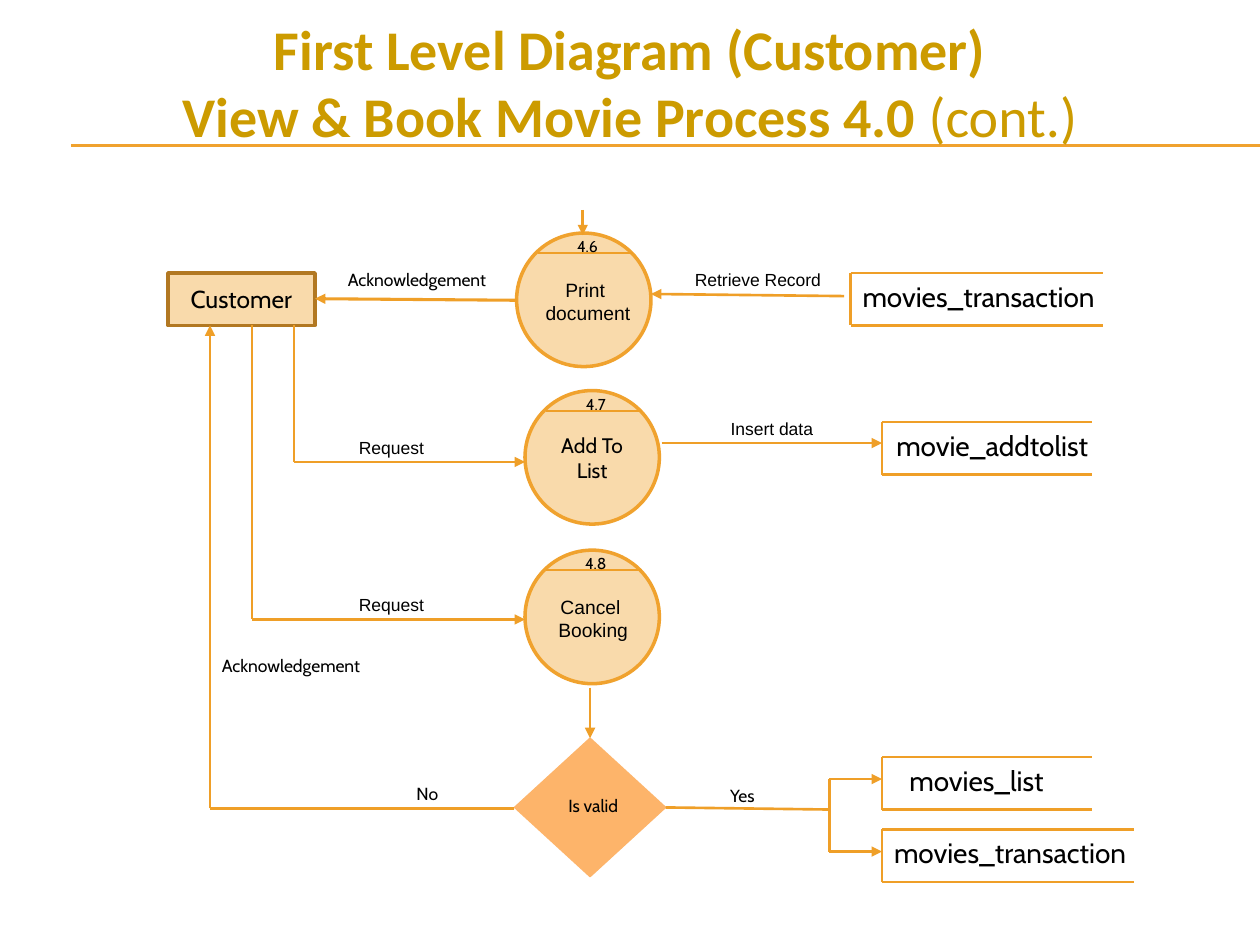
import pptx
import pptx.util
import pptx.dml.color
import pptx.enum.shapes
import pptx.enum.text
import pptx.oxml
import pptx.oxml.ns

COLS, ROWS = 120, 90
LINE, EDGE, PALE, INK, GOLD = "EF9F28", "F0A22E", "F9DAAB", "000000", "CC9B00"
SHAPE = pptx.enum.shapes.MSO_SHAPE
ALIGN = pptx.enum.text.PP_ALIGN


def grid(n):
    """Turn grid units, twelve to the inch, into a length."""
    return pptx.util.Inches(n / 12)


def rgb(hex_color):
    """Turn a hex string into a colour."""
    return pptx.dml.color.RGBColor.from_string(hex_color)


def write(tf, lines, size, font, color=INK, align=ALIGN.CENTER):
    """Write lines, each a list of (text, bold) runs."""
    for i, runs in enumerate(lines):
        p = tf.paragraphs[0] if i == 0 else tf.add_paragraph()
        p.alignment = align
        for text, bold in runs:
            r = p.add_run()
            r.text = text
            r.font.size = pptx.util.Pt(size)
            r.font.name = font
            r.font.bold = bold
            r.font.color.rgb = rgb(color)


def add_label(s, box, text, size=10, font="Cabin", align=ALIGN.CENTER):
    """Place unwrapped text in a box, one paragraph per line."""
    tf = s.shapes.add_textbox(*map(grid, box)).text_frame
    tf.word_wrap = False
    write(tf, [[(line, False)] for line in text.split("\n")], size, font, align=align)


def add_line(s, start, end, width=1.5, arrow=False, color=LINE):
    """Draw a straight line, with an arrowhead at its end if asked."""
    c = s.shapes.add_connector(pptx.enum.shapes.MSO_CONNECTOR.STRAIGHT,
                               *map(grid, (*start, *end)))
    c.line.color.rgb = rgb(color)
    c.line.width = pptx.util.Pt(width)
    if arrow:
        ln = c.line._get_or_add_ln()
        ln.append(pptx.oxml.parse_xml(
            f'<a:tailEnd {pptx.oxml.ns.nsdecls("a")} type="triangle"/>'))
    c._element.spPr.append(pptx.oxml.parse_xml(
        f'<a:effectLst {pptx.oxml.ns.nsdecls("a")}/>'))


def add_route(s, points, width=1.5, arrow=True):
    """Join points by straight lines, the last one an arrow."""
    for i, (start, end) in enumerate(zip(points, points[1:])):
        add_line(s, start, end, width, arrow and i == len(points) - 2)


def add_block(s, kind, box, fill, edge, width, text="", size=14):
    """Place a filled shape with centred text."""
    sp = s.shapes.add_shape(kind, *map(grid, box))
    sp.shadow.inherit = False
    sp.fill.solid()
    sp.fill.fore_color.rgb = rgb(fill)
    sp.line.color.rgb = rgb(edge)
    sp.line.width = pptx.util.Pt(width)
    if text:
        sp.text_frame.word_wrap = True
        sp.text_frame.vertical_anchor = pptx.enum.text.MSO_ANCHOR.MIDDLE
        write(sp.text_frame, [[(text, False)]], size, "Cabin")


def add_process(s, x, y, number, inside="", caption="", dx=0.0):
    """Draw a numbered process circle with its name."""
    add_block(s, SHAPE.OVAL, (x, y, 12.8, 12.72), PALE, EDGE, 2, inside, 12)
    add_line(s, (x + 2, y + 1.92), (x + 11.1, y + 1.92), 1.25)
    add_label(s, (x + 4, y - 0.24, 5.5, 3), number, 9)
    if caption:
        add_label(s, (x + dx, y + 3.72, 12, 5.64), caption, 11, "Arial")


def add_store(s, x, y, width, name, dx, text_width):
    """Draw an open-ended data store with its name."""
    add_line(s, (x, y), (x, y + 5))
    for row in (y, y + 5):
        add_line(s, (x, row), (x + width, row))
    add_label(s, (x + dx, y, text_width, 4.44), name, 16)


def add_title(s, x, y, width, height):
    """Place the two-line title above its rule."""
    for row in (13.8, 13.9):
        add_line(s, (6.75, row), (COLS, row), 0.75, color=EDGE)
    tf = s.shapes.add_textbox(*map(grid, (x, y, width, height))).text_frame
    tf.word_wrap = True
    write(tf, [[("First Level Diagram (Customer)", True)],
               [("View & Book Movie Process 4.0 ", True), ("(cont.)", False)]],
          32, "Calibri", GOLD)


def add_nodes(s):
    """Place the customer, the processes, the decision and the stores."""
    add_block(s, SHAPE.RECTANGLE, (16, 26, 14, 5), PALE, "B27822", 2, "Customer")
    add_process(s, 49.2, 22.2, "4.6", caption="Print \ndocument", dx=0.8)
    add_process(s, 50, 37.2, "4.7", inside="Add To List")
    add_process(s, 50, 52.4, "4.8", caption="Cancel \nBooking", dx=0.5)
    add_block(s, SHAPE.FLOWCHART_DECISION, (49, 70.3, 14.4, 13.2), "FDB46A", "FDB46A", 0.75)
    add_label(s, (50, 75.1, 13, 3.2), "Is valid")
    for store in ((81, 26, 24, "movies_transaction", -0.6, 25.6),
                  (84, 40.2, 20, "movie_addtolist", 0, 21),
                  (84, 72.1, 20, "movies_list", -2, 22),
                  (84, 79, 24, "movies_transaction", -0.6, 25.6)):
        add_store(s, *store)


def add_flows(s):
    """Draw the flows between the nodes and label them."""
    add_route(s, [(80.4, 28.2), (62, 28)])
    add_route(s, [(55.5, 20), (55.5, 22.4)], 1.75)
    add_route(s, [(49.2, 28.6), (30, 28.45)], 1.75)
    add_route(s, [(63, 42.2), (84, 42.2)])
    add_route(s, [(56.2, 65.5), (56.2, 70.3)])
    add_route(s, [(49, 77), (20, 77), (20, 31)])
    add_route(s, [(24, 31), (24, 59), (50, 59)])
    add_route(s, [(28, 31), (28, 44), (50, 44)])
    add_route(s, [(63.4, 76.9), (79, 77.1)], arrow=False)
    for row in (74.2, 81.1):
        add_route(s, [(79, 77.1), (79, row), (84, row)])
    for x, y, width, text in ((31, 25, 17.4, "Acknowledgement"),
                              (19, 61.8, 17.4, "Acknowledgement"),
                              (36, 74, 9.4, "No"), (66, 74.2, 9.4, "Yes")):
        add_label(s, (x, y, width, 3.2), text)
    add_label(s, (63, 39.2, 21, 3.2), "Insert data", font="Arial")
    for x, y, width, text in ((65, 25, 16, "Retrieve Record"),
                              (33, 41, 9, "Request"), (33, 56, 9, "Request")):
        add_label(s, (x, y, width, 3.2), text, font="Arial", align=ALIGN.LEFT)


def main():
    """Build and save the slide."""
    prs = pptx.Presentation()
    prs.slide_width, prs.slide_height = grid(COLS), grid(ROWS)
    s = prs.slides.add_slide(prs.slide_layouts[6])
    add_title(s, 12, 0.8, 96, 14.2)
    add_nodes(s)
    add_flows(s)
    prs.save("out.pptx")


if __name__ == "__main__":
    main()
